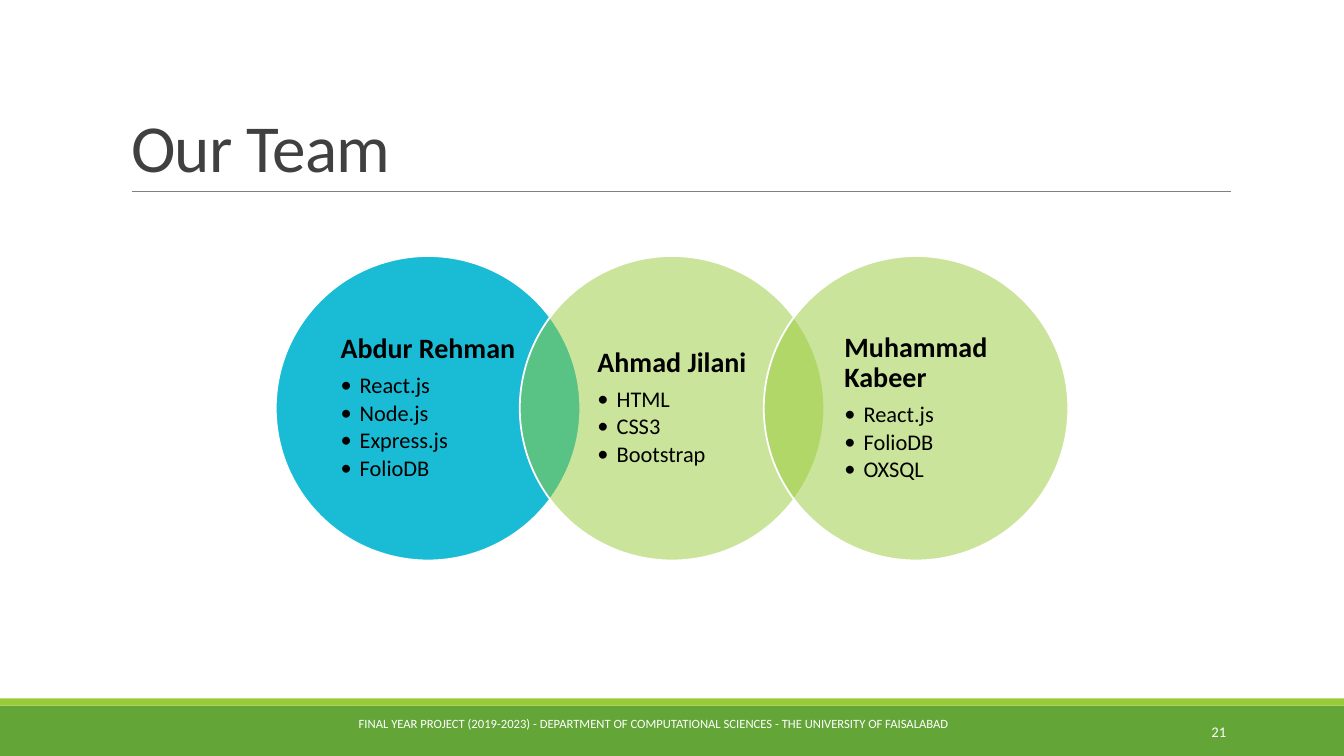
from pptx import Presentation
from pptx.dml.color import RGBColor
from pptx.enum.shapes import MSO_CONNECTOR as Connector, MSO_SHAPE as Shape
from pptx.enum.text import MSO_ANCHOR as Anchor, MSO_AUTO_SIZE as AutoSize, PP_ALIGN as Align
from pptx.oxml.ns import qn
from pptx.util import Inches, Pt
from lxml.etree import SubElement


def color(value):
    return RGBColor.from_string(value)


def write(para, text, size, shade, bold=False):
    span = para.add_run()
    span.text = text
    for font in (para.font, span.font):
        font.name = "Calibri"
        font.size = Pt(size)
        font.bold = bold
        font.color.rgb = color(shade)
    return span


deck = Presentation()
deck.slide_width = Inches(13.33)
deck.slide_height = Inches(7.5)
page = deck.slides.add_slide(deck.slide_layouts[5])

for top, height, shade in [(7, 0.5, "63A537"), (6.93, 0.07, "99CB38")]:
    bar = page.shapes.add_shape(Shape.RECTANGLE, 0, Inches(top), deck.slide_width, Inches(height))
    bar.shadow.inherit = False
    bar.fill.solid()
    bar.fill.fore_color.rgb = color(shade)
    bar.line.fill.background()

rule = page.shapes.add_connector(Connector.STRAIGHT, Inches(1.31), Inches(1.9), Inches(12.21), Inches(1.9))
rule.line.color.rgb = color("808080")
rule.line.width = Pt(0.5)
SubElement(rule._element.spPr, qn("a:effectLst"))

title = page.shapes.title
title.left, title.top = Inches(1.2), Inches(0.31)
title.width, title.height = Inches(11), Inches(1.59)
title.text_frame.vertical_anchor = Anchor.BOTTOM
title.text_frame.auto_size = AutoSize.NONE
para = title.text_frame.paragraphs[0]
para.alignment = Align.LEFT
para.line_spacing = 0.85
span = write(para, "Our Team", 48, "404040")
span._r.get_or_add_rPr().set("spc", "-50")

footers = [
    (2.16, 6.9, 8.64, 0.56, 9, Align.CENTER,
     "FINAL YEAR PROJECT (2019-2023) - DEPARTMENT OF COMPUTATIONAL SCIENCES - THE UNIVERSITY OF FAISALABAD"),
    (10.83, 7.06, 1.43, 0.4, 10.5, Align.RIGHT, "21"),
]
for left, top, width, height, size, align, text in footers:
    box = page.shapes.add_textbox(Inches(left), Inches(top), Inches(width), Inches(height))
    box.text_frame.word_wrap = True
    box.text_frame.vertical_anchor = Anchor.MIDDLE
    para = box.text_frame.paragraphs[0]
    para.alignment = align
    write(para, text, size, "FFFFFF")

team = [
    ("Abdur Rehman", ["React.js", "Node.js", "Express.js", "FolioDB"], "19BBD5", 100),
    ("Ahmad Jilani", ["HTML", "CSS3", "Bootstrap"], "99CB38", 50),
    ("Muhammad Kabeer", ["React.js", "FolioDB", "OXSQL"], "99CB38", 50),
]
diameter, pitch, text_side = 3.02, 2.42, 2.13
first_left = (13.33 - diameter - 2 * pitch) / 2
inset = (diameter - text_side) / 2

for index, (name, skills, shade, opacity) in enumerate(team):
    left = first_left + index * pitch
    circle = page.shapes.add_shape(Shape.OVAL, Inches(left), Inches(2.54), Inches(diameter), Inches(diameter))
    circle.shadow.inherit = False
    circle.fill.solid()
    circle.fill.fore_color.rgb = color(shade)
    circle.line.color.rgb = color("FFFFFF")
    circle.line.width = Pt(1.25)
    if opacity < 100:
        tint = circle._element.spPr.find(qn("a:solidFill")).find(qn("a:srgbClr"))
        SubElement(tint, qn("a:alpha")).set("val", str(opacity * 1000))

    box = page.shapes.add_textbox(Inches(left + inset), Inches(2.98), Inches(text_side), Inches(text_side))
    frame = box.text_frame
    frame.word_wrap = True
    frame.vertical_anchor = Anchor.MIDDLE
    frame.margin_left = frame.margin_right = Inches(0.17)
    frame.margin_top = frame.margin_bottom = Inches(0.03)
    frame._txBody.bodyPr.set("anchorCtr", "1")
    para = frame.paragraphs[0]
    para.line_spacing = 0.9
    para.space_after = Pt(7)
    write(para, name, 20, "000000", bold=True)
    for skill in skills:
        para = frame.add_paragraph()
        para.level = 1
        para.line_spacing = 0.9
        para.space_after = Pt(2.4)
        properties = para._p.get_or_add_pPr()
        properties.set("marL", str(Inches(0.19)))
        properties.set("indent", str(-Inches(0.19)))
        SubElement(properties, qn("a:buFont")).set("typeface", "Calibri")
        SubElement(properties, qn("a:buChar")).set("char", "•")
        write(para, skill, 16, "000000")

deck.save("out.pptx")
